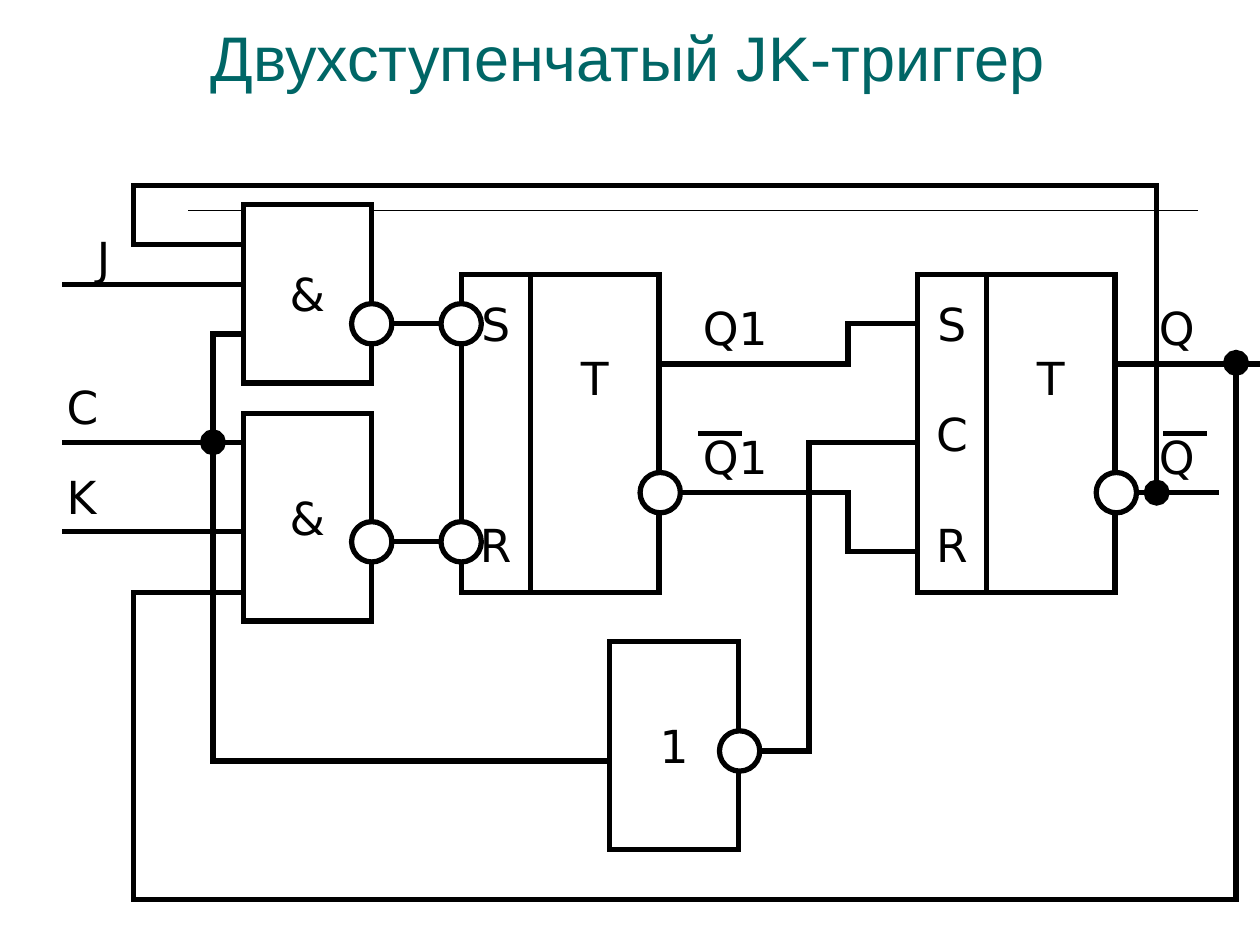
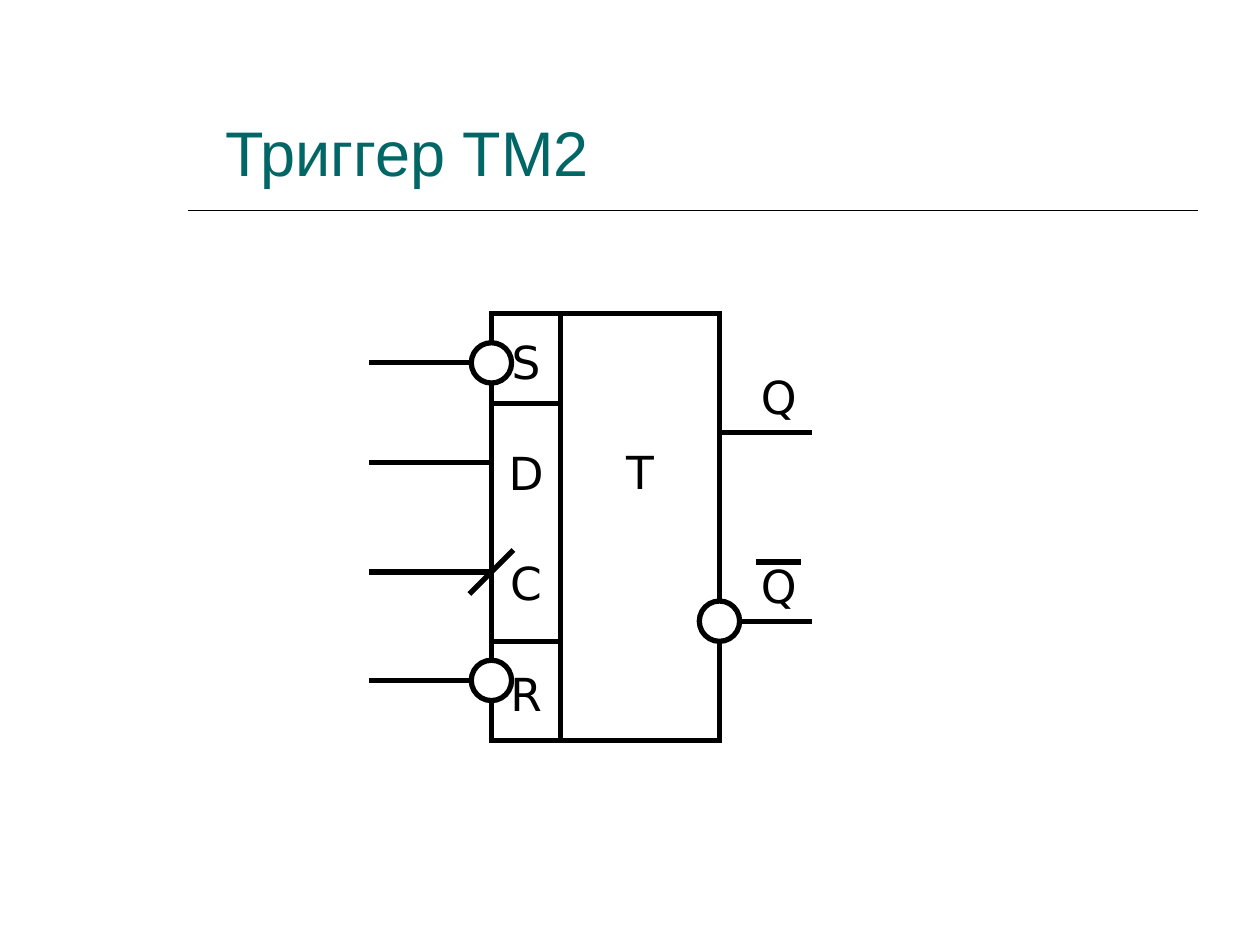
"""Draw two slides of flip-flop circuits."""
from lxml.etree import SubElement
from pptx import Presentation
from pptx.dml.color import RGBColor
from pptx.enum.shapes import MSO_CONNECTOR, MSO_SHAPE
from pptx.enum.text import MSO_ANCHOR, MSO_AUTO_SIZE, PP_ALIGN
from pptx.oxml.ns import qn
from pptx.util import Pt

SCALE = 9144


def px(*sizes):
    return [size * SCALE for size in sizes]


def color(code):
    return RGBColor.from_string(code)


class Sheet:
    ink = "000000"
    paper = "FFFFFF"
    teal = "006666"
    head = "Arial"
    body = "DejaVu Sans"
    stroke = 3
    ring = 32
    drop = 89

    def __init__(self, deck):
        self.deck = deck
        self.slide = None

    def start(self, title, x, y, w, h):
        self.slide = self.deck.slides.add_slide(self.deck.slide_layouts[5])
        shape = self.slide.shapes.title
        shape.left, shape.top, shape.width, shape.height = px(x, y, w, h)
        frame = shape.text_frame
        frame.text = title
        frame.word_wrap = True
        frame.auto_size = MSO_AUTO_SIZE.NONE
        frame.vertical_anchor = MSO_ANCHOR.BOTTOM
        self.style(frame, PP_ALIGN.LEFT, self.head, 36, self.teal)
        self.line((150, 167), (950, 167), 1)

    def style(self, frame, align, font, size, code):
        for para in frame.paragraphs:
            para.alignment = align
            for run in para.runs:
                run.font.name = font
                run.font.size = Pt(size)
                run.font.color.rgb = color(code)

    def edge(self, shape, width):
        shape.line.color.rgb = color(self.ink)
        shape.line.width = Pt(width)
        edge = shape.element.spPr.find(qn("a:ln"))
        edge.set("cap", "sq")
        SubElement(edge, qn("a:miter"), lim="800000")
        return edge

    def line(self, start, end, width=stroke, dot=False):
        link = self.slide.shapes.add_connector(
            MSO_CONNECTOR.STRAIGHT, *px(*start, *end))
        edge = self.edge(link, width)
        if dot:
            SubElement(edge, qn("a:tailEnd"), type="oval", w="lg", len="lg")
        SubElement(link.element.spPr, qn("a:effectLst"))

    def wire(self, *points, dot=False):
        for start, end in zip(points, points[1:]):
            self.line(start, end, dot=dot and end == points[-1])

    def shape(self, kind, x, y, w, h):
        shape = self.slide.shapes.add_shape(kind, *px(x, y, w, h))
        shape.shadow.inherit = False
        shape.fill.solid()
        shape.fill.fore_color.rgb = color(self.paper)
        self.edge(shape, self.stroke)
        return shape

    def box(self, x, y, w, h, text, gap=0, drop=0):
        frame = self.shape(MSO_SHAPE.RECTANGLE, x, y, w, h).text_frame
        frame.text = text
        frame.word_wrap = False
        frame.vertical_anchor = MSO_ANCHOR.MIDDLE
        frame.margin_bottom += drop * SCALE
        for para in frame.paragraphs[1:]:
            para.space_before = Pt(gap)
        self.style(frame, PP_ALIGN.CENTER, self.body, 26, self.ink)

    def latch(self, x, y, w, h, pins, gap):
        self.box(x, y, 55, h, pins, gap)
        self.box(x + 55, y, w, h, "T", drop=self.drop)

    def rings(self, *spots):
        half = self.ring // 2
        for x, y in spots:
            self.shape(MSO_SHAPE.OVAL, x - half, y - half, self.ring, self.ring)

    def label(self, x, y, text, w=86):
        frame = self.slide.shapes.add_textbox(*px(x, y, w, 54)).text_frame
        frame.text = text
        frame.word_wrap = True
        self.style(frame, PP_ALIGN.LEFT, self.body, 26, self.ink)


def draw_jk(sheet):
    sheet.start("Двухступенчатый JK-триггер", 157, 4, 792, 76)
    sheet.box(193, 162, 102, 142, "&")
    sheet.box(193, 328, 102, 165, "&")
    sheet.box(484, 509, 102, 165, "1")
    sheet.latch(366, 218, 102, 252, "S\nR", 95)
    sheet.latch(728, 218, 102, 252, "S\nC\nR", 32)

    for y in (226, 351, 422):
        sheet.wire((51, y), (193, y))
    for y in (257, 430):
        sheet.wire((295, y), (366, y))
    sheet.wire((524, 289), (673, 289), (673, 257), (728, 257))
    sheet.wire((524, 391), (673, 391), (673, 438), (728, 438))
    sheet.wire((587, 596), (642, 596), (642, 351), (728, 351))
    sheet.wire((886, 289), (1000, 289))
    sheet.wire((886, 391), (965, 391))
    for x in (556, 925):
        sheet.wire((x, 344), (x + 31, 344))

    sheet.wire((193, 265), (169, 265), (169, 351))
    sheet.wire((484, 604), (169, 604), (169, 351), dot=True)
    sheet.wire((193, 194), (106, 194), (106, 147), (918, 147), (918, 391),
               dot=True)
    sheet.wire((193, 470), (106, 470), (106, 714), (981, 714), (981, 288),
               dot=True)
    sheet.rings((295, 257), (295, 430), (366, 257), (366, 430),
                (524, 391), (886, 391), (587, 596))

    sheet.label(67, 178, "J")
    sheet.label(43, 296, "С")
    sheet.label(43, 367, "K")
    for y in (233, 336):
        sheet.label(548, y, "Q1", 110)
        sheet.label(910, y, "Q")


def draw_tm(sheet):
    sheet.start("Триггер ТМ2", 169, 8, 784, 147)
    sheet.latch(390, 249, 126, 339, "S\nD\nС\nR", 32)
    for y in (288, 367, 454, 540):
        sheet.wire((295, y), (390, y))
    for y in (320, 509):
        sheet.wire((390, y), (445, y))
    for y in (343, 493):
        sheet.wire((571, y), (642, y))
        sheet.label(594, y - 55, "Q", 71)
    sheet.wire((602, 446), (634, 446))
    sheet.wire((374, 470), (406, 438))
    sheet.rings((390, 288), (390, 540), (571, 493))


def main():
    deck = Presentation()
    deck.slide_width, deck.slide_height = px(1000, 750)
    sheet = Sheet(deck)
    draw_jk(sheet)
    draw_tm(sheet)
    deck.save("out.pptx")


if __name__ == "__main__":
    main()
